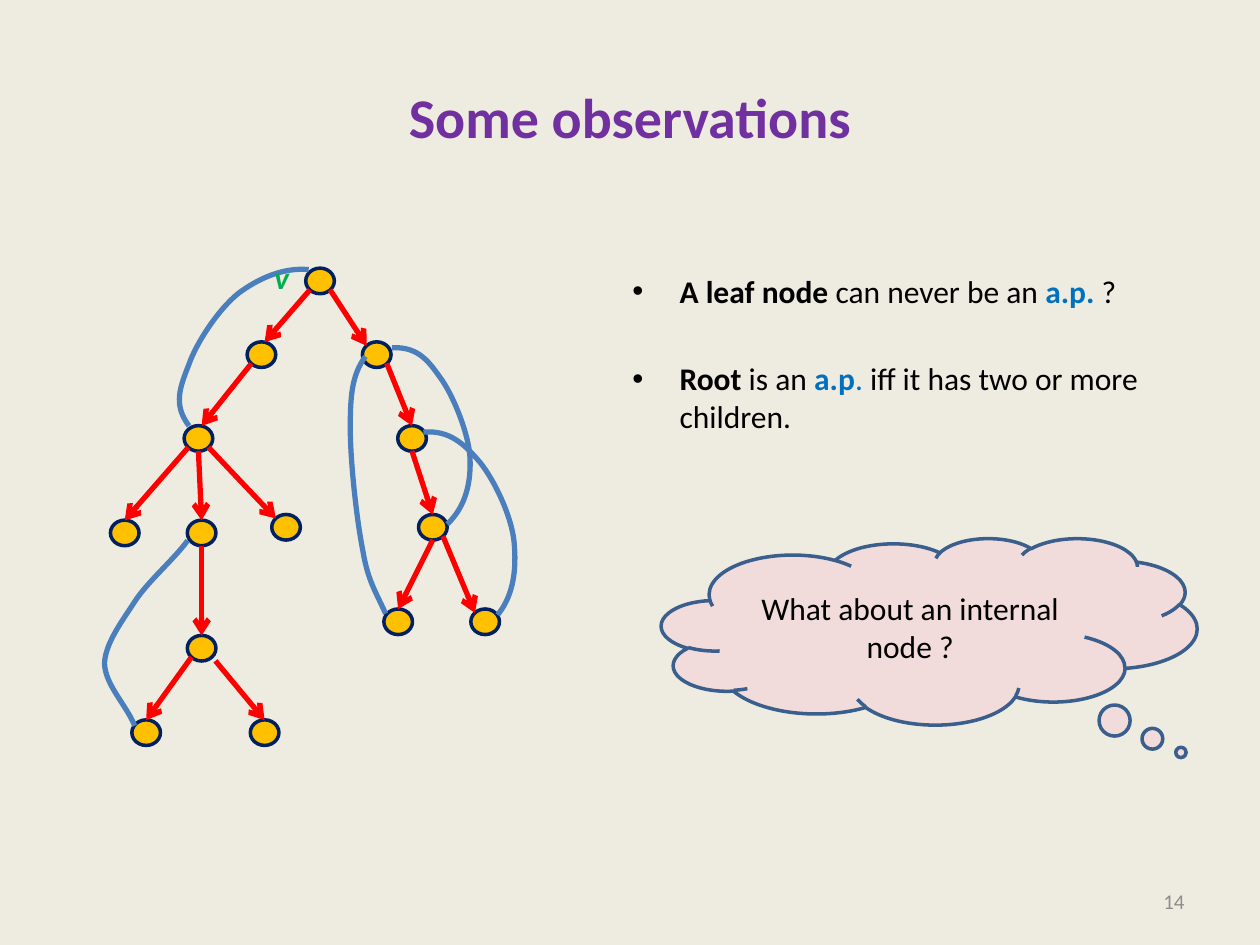
from lxml import etree
from pptx import Presentation
from pptx.dml.color import RGBColor
from pptx.enum.shapes import MSO_CONNECTOR, MSO_SHAPE
from pptx.enum.text import MSO_ANCHOR, PP_ALIGN
from pptx.oxml.ns import qn
from pptx.util import Inches, Pt

OVAL, CLOUD = MSO_SHAPE.OVAL, MSO_SHAPE.CLOUD_CALLOUT
STRAIGHT = MSO_CONNECTOR.STRAIGHT
TOP, MIDDLE = MSO_ANCHOR.TOP, MSO_ANCHOR.MIDDLE
LEFT, CENTER, RIGHT = PP_ALIGN.LEFT, PP_ALIGN.CENTER, PP_ALIGN.RIGHT


def color(hex_string):
    return RGBColor.from_string(hex_string)


def write(para, spans, size, align=LEFT):
    """Fill a paragraph with (text, colour, bold) spans."""
    para.alignment = align
    for text, ink, bold in spans:
        span = para.add_run()
        span.text = text
        span.font.name, span.font.size, span.font.bold = "Calibri", Pt(size), bold
        span.font.color.rgb = color(ink)


deck = Presentation()
deck.slide_width, deck.slide_height = Inches(10), Inches(7.5)
page = deck.slides.add_slide(deck.slide_layouts[6])
page.background.fill.solid()
page.background.fill.fore_color.rgb = color("EEECE1")

# Grid of 100 columns by 75 rows
COL, ROW = deck.slide_width / 100, deck.slide_height / 75

# Tree nodes: centre column and row
NODE_W, NODE_H = 2.27, 2.03
nodes = {
    "root": (25.4, 22.3), "left": (20.75, 28.15), "right": (29.9, 28.15),
    "fork": (15.75, 34.8), "fork left": (9.9, 42.3), "fork mid": (16, 42.3),
    "fork right": (22.7, 41.85), "low": (16, 51.45), "low left": (11.6, 58.15),
    "low right": (21, 58.15), "chain": (32.7, 34.8), "chain end": (34.35, 41.85),
    "end left": (31.6, 49.35), "end right": (38.5, 49.35),
}
for x, y in nodes.values():
    node = page.shapes.add_shape(OVAL, int((x - NODE_W / 2) * COL), int((y - NODE_H / 2) * ROW),
                                 int(NODE_W * COL), int(NODE_H * ROW))
    node.shadow.inherit = False
    node.fill.solid()
    node.fill.fore_color.rgb = color("FFC000")
    node.line.color.rgb = color("002060")
    node.line.width = Pt(2)

# Tree edges: from a port of the parent to a port of the child
ports = {"top": (0, -1), "top right": (0.25, -1), "bottom": (0, 1),
         "lower left": (-0.8, 0.7), "lower right": (0.8, 0.7),
         "corner": (1.1, 1), "upper left": (-0.8, -0.7)}
edges = [
    ("root", "lower left", "left", "top right"),
    ("root", "lower right", "right", "upper left"),
    ("left", "lower left", "fork", "top right"),
    ("fork", "lower left", "fork left", "top"),
    ("fork", "bottom", "fork mid", "top"),
    ("fork", "lower right", "fork right", "upper left"),
    ("fork mid", "bottom", "low", "top"),
    ("low", "lower left", "low left", "top"),
    ("low", "corner", "low right", "top"),
    ("right", "lower right", "chain", "top"),
    ("chain", "bottom", "chain end", "top"),
    ("chain end", "bottom", "end left", "top"),
    ("chain end", "lower right", "end right", "upper left"),
]
for parent, start, child, end in edges:
    points = []
    for name, port in ((parent, start), (child, end)):
        (x, y), (dx, dy) = nodes[name], ports[port]
        points += [int((x + dx) * COL), int((y + dy) * ROW)]
    edge = page.shapes.add_connector(STRAIGHT, *points)
    edge.line.color.rgb = color("FF0000")
    edge.line.width = Pt(3)
    etree.SubElement(edge.line._get_or_add_ln(), qn("a:tailEnd"), type="arrow")
    etree.SubElement(edge._element.spPr, qn("a:effectLst"))

# Back edges: chained cubic curves, each sharing its end with the next start
back_edges = [
    [(35.5, 41.6), (37, 40.2), (37.4, 38.2), (37.3, 36.3), (37.2, 34.5),
     (36.1, 31.7), (35.1, 30.2), (34.1, 28.8), (33.3, 27.5), (31.1, 27.6)],
    [(30.6, 48.7), (29.8, 46.9), (29.2, 46.1), (28.8, 43.7), (28.3, 41.2),
     (27.8, 36.6), (27.8, 34), (27.8, 31.5), (27.9, 29.8), (29, 28.3)],
    [(10.7, 57.6), (10, 55.9), (8.3, 54.3), (8.3, 52.6), (8.4, 51),
     (9.7, 49.3), (10.8, 47.6), (11.9, 46), (13.8, 44.4), (14.9, 42.9)],
    [(24.5, 21.4), (22.5, 21.2), (20.5, 22.1), (18.9, 23.3), (17.3, 24.6),
     (15.6, 27.2), (15, 28.9), (14.3, 30.7), (13.7, 32.1), (15, 33.8)],
    [(39.5, 48.8), (40.8, 47.2), (41, 45.1), (40.8, 43), (40.6, 41),
     (39.3, 38.2), (38.1, 36.7), (36.9, 35.3), (35.7, 34.1), (33.6, 34.3)],
]
for controls in back_edges:
    knots = [(int(x * COL), int(y * ROW)) for x, y in controls]
    builder = page.shapes.build_freeform(*knots[0])
    builder.add_line_segments(knots[3::3], close=False)
    back_edge = builder.convert_to_shape()
    # Turn each straight segment into a cubic curve
    segments = list(back_edge._element.iter(qn("a:lnTo")))
    for index, segment in enumerate(segments):
        cubic = etree.Element(qn("a:cubicBezTo"))
        for x, y in knots[3 * index + 1:3 * index + 4]:
            etree.SubElement(cubic, qn("a:pt"), x=str(x - back_edge.left), y=str(y - back_edge.top))
        segment.getparent().replace(segment, cubic)
    back_edge.shadow.inherit = False
    back_edge.fill.background()
    back_edge.line.color.rgb = color("4B7EBC")
    back_edge.line.width = Pt(3)

# Title, page number and root label: place, anchor, wrap, span, size, alignment
labels = [
    (5, 3, 90, 12.5, MIDDLE, True, ("Some observations", "7030A0", True), 32, CENTER),
    (71.7, 69.5, 23.3, 4, MIDDLE, True, ("14", "8C8C8C", False), 12, RIGHT),
    (20.8, 20, 3.2, 4, TOP, False, ("v", "00B050", True), 18, LEFT),
]
for x, y, w, h, anchor, wrap, span, size, align in labels:
    box = page.shapes.add_textbox(int(x * COL), int(y * ROW), int(w * COL), int(h * ROW))
    box.text_frame.word_wrap = wrap
    box.text_frame.vertical_anchor = anchor
    write(box.text_frame.paragraphs[0], [span], size, align)
box.text_frame.paragraphs[0].runs[0].font.italic = True

# Bulleted observations
BLACK, BLUE = "000000", "0070C0"
observations = [
    [("A leaf node ", BLACK, True), ("can never be an ", BLACK, False),
     ("a.p.", BLUE, True), (" ?", BLACK, False)],
    [("Root", BLACK, True), (" is an ", BLACK, False), ("a.p", BLUE, True),
     (". ", BLUE, False), ("iff it has two or more children.", BLACK, False)],
]
box = page.shapes.add_textbox(int(49.2 * COL), int(17.5 * ROW), int(50.8 * COL), int(49.5 * ROW))
box.text_frame.word_wrap = True
box.text_frame.margin_top = int(4.05 * ROW)
for index, spans in enumerate(observations):
    para = box.text_frame.add_paragraph() if index else box.text_frame.paragraphs[0]
    properties = para._p.get_or_add_pPr()
    properties.set("marL", str(Pt(27)))
    properties.set("indent", str(-Pt(27)))
    etree.SubElement(properties, qn("a:buFont"), typeface="Arial")
    etree.SubElement(properties, qn("a:buChar"), char="•")
    para.space_before = Pt(28.5 * index)
    write(para, spans, 18)

# Thought cloud
cloud = page.shapes.add_shape(CLOUD, int(52.5 * COL), int(42.7 * ROW),
                              int(42.5 * COL), int(14.8 * ROW))
cloud.adjustments[0], cloud.adjustments[1] = 0.47, 0.65
cloud.shadow.inherit = False
cloud.fill.solid()
cloud.fill.fore_color.rgb = color("F2DCDB")
cloud.line.color.rgb = color("3A5F8C")
cloud.line.width = Pt(2)
cloud.text_frame.word_wrap = True
cloud.text_frame.vertical_anchor = MIDDLE
write(cloud.text_frame.paragraphs[0], [("What about an internal node ?", BLACK, False)], 18, CENTER)

deck.save("out.pptx")
